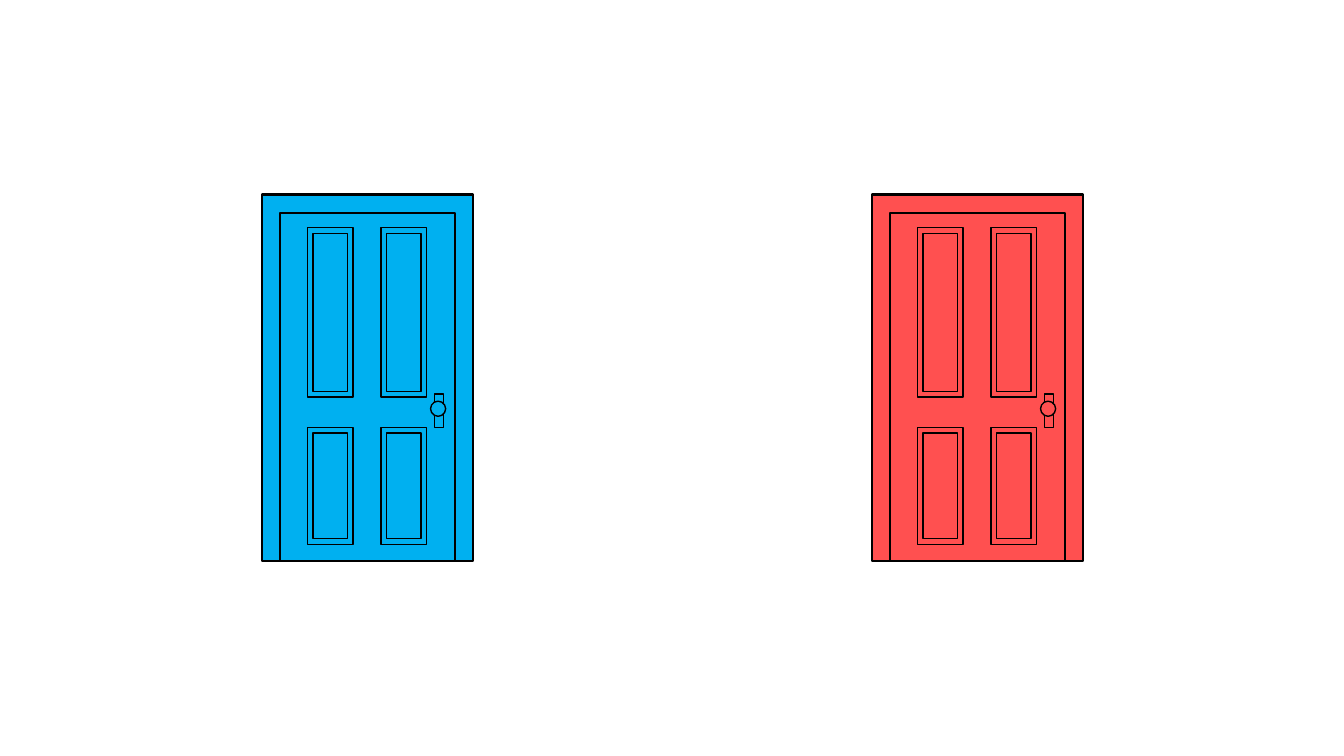
from pptx import Presentation
from pptx.dml.color import RGBColor
from pptx.enum.shapes import MSO_SHAPE as Shape
from pptx.util import Inches, Pt

COLORS = {"blue": "00B0F0", "red": "FF5050", "outline": "000000"}

# Left edge of each door on the slide, and its colour
DOORS = [(2.6, "blue"), (8.65, "red")]
DOOR_TOP = 1.93

# Parts relative to the door's top left corner: shape, left, top, width, height, line width
FRAME_AND_KNOB = [
    (Shape.RECTANGLE, 0, 0, 2.09, 3.64, 1.5),
    (Shape.RECTANGLE, 0.18, 0.18, 1.73, 3.46, 1.5),
    (Shape.RECTANGLE, 1.71, 1.98, 0.09, 0.33, 1),
    (Shape.OVAL, 1.67, 2.05, 0.15, 0.15, 1),
]
PANEL_COLUMNS = [1.18, 0.45]
PANEL_ROWS = [(0.33, 1.68), (2.31, 1.16)]  # top, height
PANEL_WIDTH = 0.45
PANEL_INSET = 0.055


def door_parts():
    parts = list(FRAME_AND_KNOB)
    for top, height in PANEL_ROWS:
        for left in PANEL_COLUMNS:
            for inset in (0, PANEL_INSET):
                parts.append((Shape.RECTANGLE, left + inset, top + inset,
                              PANEL_WIDTH - 2 * inset, height - 2 * inset, 1))
    return parts


def draw_door(slide, door_left, color):
    door = slide.shapes.add_group_shape()
    for kind, left, top, width, height, line_width in door_parts():
        part = door.shapes.add_shape(
            kind, Inches(door_left + left), Inches(DOOR_TOP + top),
            Inches(width), Inches(height))
        part.shadow.inherit = False
        part.fill.solid()
        part.fill.fore_color.rgb = RGBColor.from_string(COLORS[color])
        part.line.color.rgb = RGBColor.from_string(COLORS["outline"])
        part.line.width = Pt(line_width)


def main():
    deck = Presentation()
    deck.slide_width, deck.slide_height = Inches(13.33), Inches(7.5)
    slide = deck.slides.add_slide(deck.slide_layouts[6])
    for door_left, color in DOORS:
        draw_door(slide, door_left, color)
    deck.save("out.pptx")


if __name__ == "__main__":
    main()
